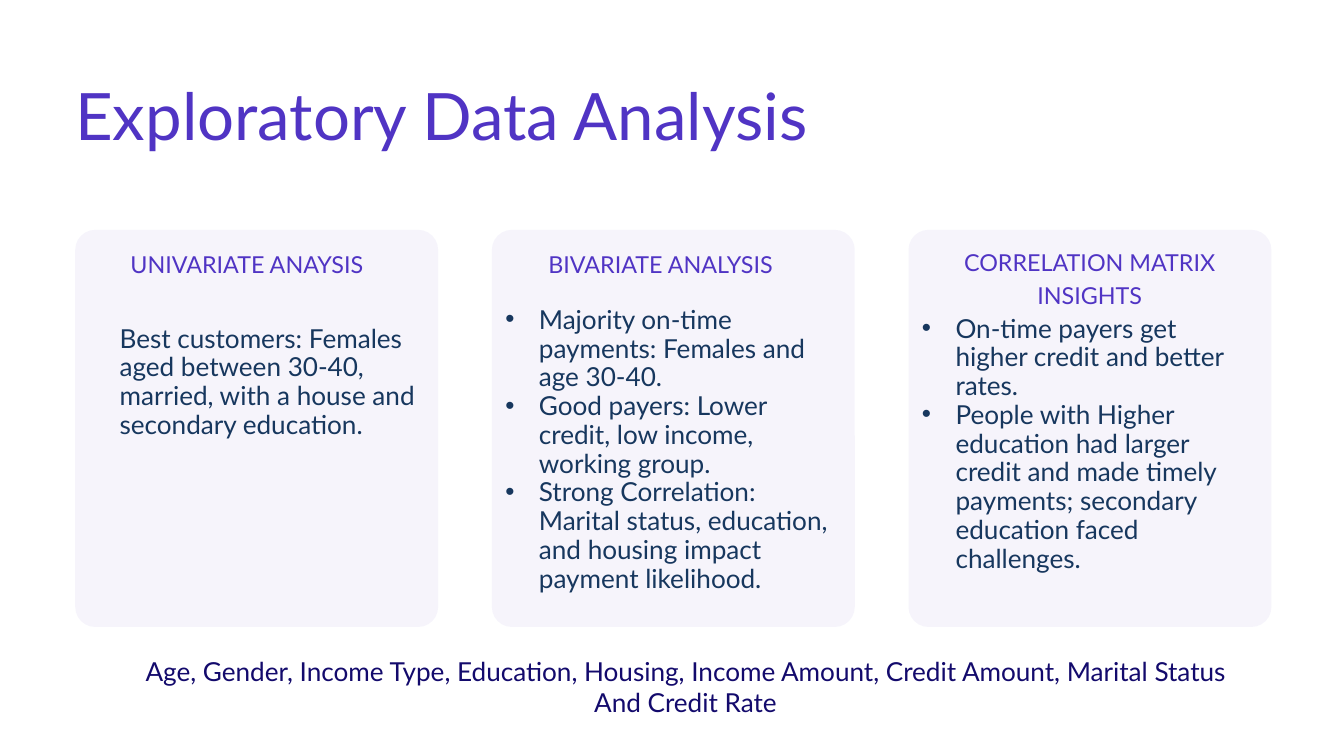
from lxml import etree
from pptx import Presentation
from pptx import util as u
from pptx.dml.color import RGBColor
from pptx.enum import shapes, text
from pptx.oxml.ns import qn

VIOLET, NAVY, INDIGO = "5034C4", "17375E", "130A6C"
COLUMNS, ROWS = 20, 11.25


def rgb(value):
    return RGBColor.from_string(value)


class Deck:
    font = "Lato"

    def __init__(self):
        self.prs = Presentation()
        self.prs.slide_width, self.prs.slide_height = u.Inches(20), u.Inches(11.25)
        self.s = self.prs.slides.add_slide(self.prs.slide_layouts[5])

    def box(self, x, y, w, h):
        col, row = self.prs.slide_width / COLUMNS, self.prs.slide_height / ROWS
        return [int(x * col), int(y * row), int(w * col), int(h * row)]

    def set_text(self, sp, lines, size, color, spacing=None, align="LEFT", bullets=False, inset=0):
        tf = sp.text_frame
        tf.text = "\n".join(lines)
        tf.word_wrap = True
        tf.auto_size = text.MSO_AUTO_SIZE.SHAPE_TO_FIT_TEXT
        tf.vertical_anchor = text.MSO_ANCHOR.TOP
        tf.margin_left = tf.margin_right = u.Inches(inset)
        tf.margin_top = tf.margin_bottom = u.Inches(inset / 2)
        for p in tf.paragraphs:
            p.alignment = getattr(text.PP_ALIGN, align)
            if spacing:
                p.line_spacing = u.Pt(spacing)
            if bullets:
                self.bullet(p)
            for r in p.runs:
                r.font.name, r.font.size = self.font, u.Pt(size)
                r.font.color.rgb = rgb(color)

    def bullet(self, p):
        pPr = p._p.get_or_add_pPr()
        pPr.set("marL", str(u.Inches(0.5)))
        pPr.set("indent", str(-u.Inches(0.5)))
        etree.SubElement(pPr, qn("a:buFont")).set("typeface", "Arial")
        etree.SubElement(pPr, qn("a:buChar")).set("char", "•")

    def title(self, title, *place):
        sp = self.s.shapes.title
        sp.left, sp.top, sp.width, sp.height = self.box(*place)
        self.set_text(sp, [title], 70, VIOLET, 84)

    def text(self, lines, place, *style, **options):
        sp = self.s.shapes.add_textbox(*self.box(*place))
        self.set_text(sp, lines, *style, **options)

    def card(self, *place):
        sp = self.s.shapes.add_shape(shapes.MSO_SHAPE.ROUNDED_RECTANGLE, *self.box(*place))
        sp.adjustments[0] = 0.055
        sp.shadow.inherit = False
        sp.line.fill.background()
        sp.fill.solid()
        sp.fill.fore_color.rgb = rgb(VIOLET)
        clr = sp._element.spPr.find(".//" + qn("a:srgbClr"))
        etree.SubElement(clr, qn("a:alpha")).set("val", "5000")


CARDS = [
    (["UNIVARIATE ANAYSIS"], (0.82, 3.66, 4.08, 0.47), "LEFT",
     ["Best customers: Females aged between 30-40, married, with a house and secondary education."],
     (0.66, 4.83, 4.49, 2.18), False),
    (["BIVARIATE ANALYSIS"], (0.84, 3.65, 4.08, 0.47), "LEFT",
     ["Majority on-time payments: Females and age 30-40.",
      "Good payers: Lower credit, low income, working group.",
      "Strong Correlation: Marital status, education, and housing impact payment likelihood."],
     (0.2, 4.55, 4.94, 4.79), True),
    (["CORRELATION MATRIX", "INSIGHTS"], (-0.21, 3.63, 5.81, 0.96), "CENTER",
     ["On-time payers get higher credit and better rates.",
      "People with Higher education had larger credit and made timely payments; "
      "secondary education faced challenges."],
     (0.2, 4.68, 4.94, 3.92), True),
]


def main():
    deck = Deck()
    deck.title("Exploratory Data Analysis", 1.12, 1.12, 14.93, 1.16)
    for i, (heading, head_at, align, body, body_at, bullets) in enumerate(CARDS):
        left = 1.12 + i * 6.2
        deck.card(left, 3.42, 5.4, 5.91)
        deck.text(heading, (left + head_at[0], *head_at[1:]), 25, VIOLET, 35, align=align)
        deck.text(body, (left + body_at[0], *body_at[1:]), 28, NAVY, 30.8, bullets=bullets)
    deck.text(["Age, Gender, Income Type, Education, Housing, Income Amount, "
               "Credit Amount, Marital Status And Credit Rate"],
              (1.96, 9.7, 16.48, 1.04), 28, INDIGO, align="CENTER", inset=0.1)
    deck.prs.save("out.pptx")


if __name__ == "__main__":
    main()
